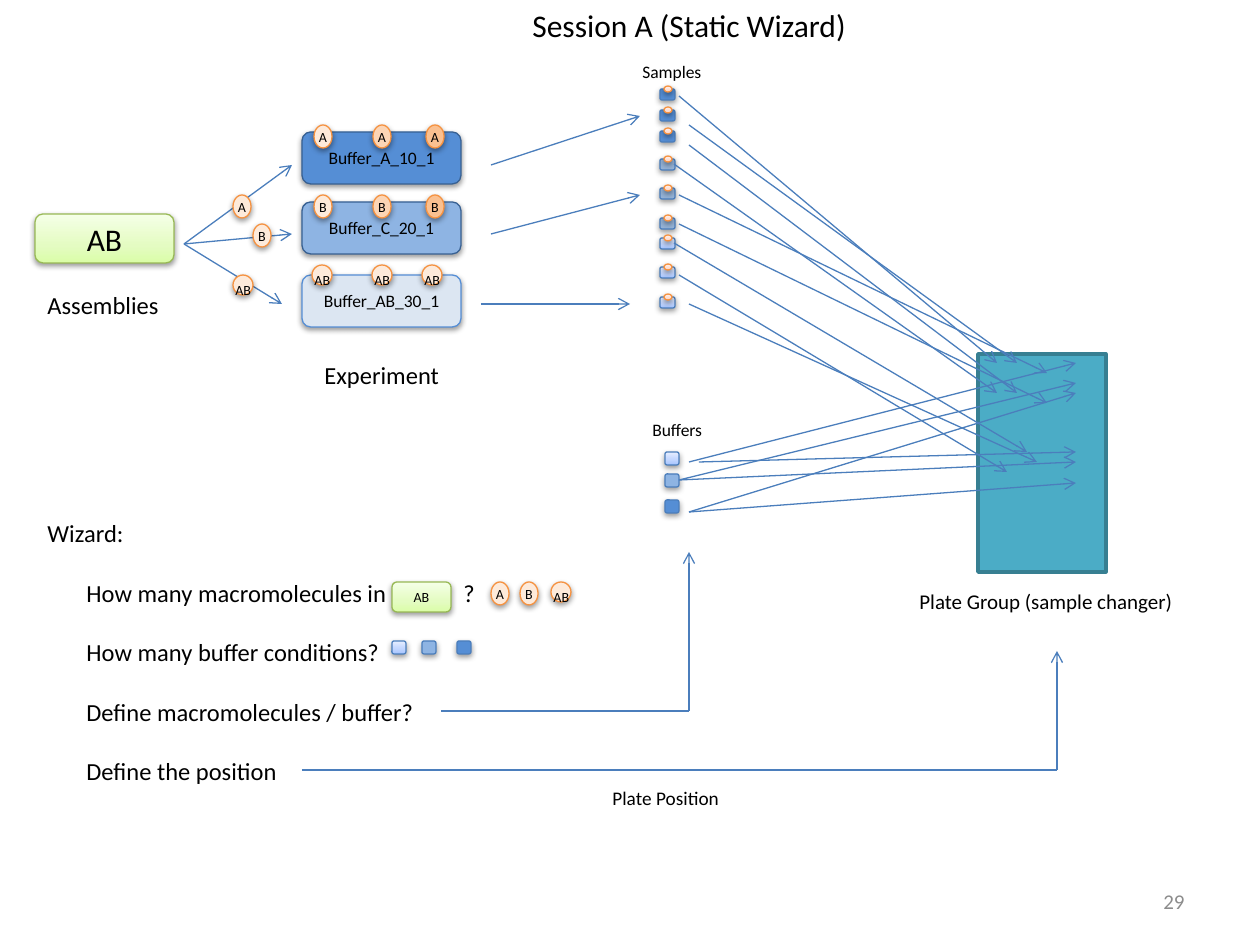
"""Build the Session A (Static Wizard) workflow slide."""
from copy import deepcopy
from lxml import etree
from pptx import Presentation
from pptx import util as u
from pptx.dml.color import RGBColor
from pptx.enum import shapes, text
from pptx.oxml import ns

SCALE = 914400 / 126
BLACK = RGBColor(0x00, 0x00, 0x00)
GREY = RGBColor(0x8C, 0x8C, 0x8C)
TEAL = RGBColor(0x4B, 0xAC, 0xC6)
TEAL_EDGE = RGBColor(0x37, 0x7F, 0x92)
BLUE = RGBColor(0x55, 0x8E, 0xD5)
SKY = RGBColor(0x8E, 0xB4, 0xE3)
STEEL = RGBColor(0x95, 0xB3, 0xD7)
PALE = RGBColor(0xDC, 0xE6, 0xF2)
NAVY = RGBColor(0x37, 0x60, 0x92)
LINE = RGBColor(0x4B, 0x7E, 0xBC)
LEAF = RGBColor(0x98, 0xB9, 0x55)
RUST = RGBColor(0xF6, 0x92, 0x40)
CREAM = RGBColor(0xFD, 0xEA, 0xDA)
PEACH = RGBColor(0xFC, 0xD5, 0xB5)
AMBER = RGBColor(0xFA, 0xC0, 0x90)
LIME = [RGBColor(0xDA, 0xFD, 0xA7), RGBColor(0xE4, 0xFC, 0xC2), RGBColor(0xF5, 0xFF, 0xE7)]
ICE = [RGBColor(0xA4, 0xC4, 0xFF), RGBColor(0xBF, 0xD4, 0xFF), RGBColor(0xE6, 0xEE, 0xFF)]
ROSE = [RGBColor(0xFF, 0xD2, 0xBD), RGBColor(0xFF, 0xDE, 0xD0), RGBColor(0xFF, 0xF2, 0xED)]
RECT, ROUND, OVAL = (shapes.MSO_SHAPE.RECTANGLE, shapes.MSO_SHAPE.ROUNDED_RECTANGLE,
                     shapes.MSO_SHAPE.OVAL)
MID = text.MSO_ANCHOR.MIDDLE

deck = Presentation()
deck.slide_width, deck.slide_height = (round(n * SCALE) for n in (1260, 945))
slide = deck.slides.add_slide(deck.slide_layouts[6])


def draw(kind, box, words="", size=8, fill=None, edge=LINE, width=0.75, shade=True,
         color=BLACK, align=text.PP_ALIGN.LEFT):
    place = [round(n * SCALE) for n in box]
    if kind is None:
        item = slide.shapes.add_textbox(*place)
        form = {"word_wrap": False}
    else:
        item = slide.shapes.add_shape(kind, *place)
        align = text.PP_ALIGN.CENTER
        form = {"word_wrap": False, "vertical_anchor": MID, "margin_left": 0,
                "margin_right": 0, "margin_top": 0, "margin_bottom": 0}
        if isinstance(fill, list):
            item.fill.gradient()
            stops = item._element.spPr.find(".//" + ns.qn("a:gsLst"))
            stops.insert(1, deepcopy(stops[0]))
            item.fill.gradient_angle = 90
            for stop, spot, tint in zip(item.fill.gradient_stops, (0, 0.35, 1), fill):
                stop.color.rgb, stop.position = tint, spot
        else:
            item.fill.solid()
            item.fill.fore_color.rgb = fill
        item.line.color.rgb, item.line.width = edge, u.Pt(width)
        item.shadow.inherit = False
        if shade:
            glow = etree.SubElement(
                item._element.spPr.find(ns.qn("a:effectLst")), ns.qn("a:outerShdw"),
                blurRad="40000", dist="20000", dir="5400000", rotWithShape="0")
            tone = etree.SubElement(glow, ns.qn("a:srgbClr"), val="000000")
            etree.SubElement(tone, ns.qn("a:alpha"), val="38000")
    if words:
        frame = item.text_frame
        for key, value in form.items():
            setattr(frame, key, value)
        frame.text = words
        for para in frame.paragraphs:
            para.alignment = align
            for key, value in {"name": "Calibri", "size": u.Pt(size)}.items():
                setattr(para.runs[0].font, key, value)
            para.runs[0].font.color.rgb = color
    return item


def link(start, end, head=True):
    wire = slide.shapes.add_connector(shapes.MSO_CONNECTOR.STRAIGHT,
                                      *[round(n * SCALE) for n in start + end])
    wire.line.color.rgb, wire.line.width = LINE, u.Pt(0.75)
    if head:
        etree.SubElement(wire.line._get_or_add_ln(), ns.qn("a:tailEnd"), type="arrow")
    etree.SubElement(wire._element.spPr, ns.qn("a:effectLst"))


draw(RECT, (978, 354, 128, 218), fill=TEAL, edge=TEAL_EDGE, width=2, shade=False)
draw(ROUND, (35, 214, 139, 49), "AB", 18, LIME, LEAF)

for words, top, fill, edge in (("Buffer_A_10_1", 132, BLUE, NAVY),
                               ("Buffer_C_20_1", 202, SKY, NAVY),
                               ("Buffer_AB_30_1", 275, PALE, BLUE)):
    draw(ROUND, (302, top, 159, 52), words, 10, fill, edge)

for top, fill in zip((89, 110, 131, 159, 188, 218, 238, 267, 297),
                     [BLUE] * 3 + [STEEL] * 3 + [ICE] * 3):
    draw(ROUND, (660, top, 15, 11), fill=fill)
    draw(OVAL, (664, top - 3, 8, 6), fill=ROSE, edge=RUST)

for left, top, fill in ((665, 452, ICE), (665, 474, SKY), (665, 500, BLUE),
                        (392, 641, ICE), (422, 641, SKY), (457, 641, BLUE)):
    draw(ROUND, (left, top, 14, 13), fill=fill)

for start, *ends in (
        ((491, 165), (640, 116)), ((491, 234), (640, 195)), ((481, 304), (630, 304)),
        ((679, 96), (997, 363)), ((689, 125), (1017, 363)), ((689, 145), (1017, 393)),
        ((674, 164), (997, 393)), ((679, 195), (1047, 373)), ((679, 224), (1047, 403)),
        ((674, 243), (1027, 452)), ((679, 275), (1007, 472)), ((689, 304), (1037, 462)),
        ((689, 462), (1076, 363)), ((679, 480), (1076, 383), (1076, 462)),
        ((689, 512), (1076, 393), (1076, 483)), ((699, 462), (1076, 452)),
        ((184, 244), (292, 165), (292, 234), (282, 304))):
    for end in ends:
        link(start, end)

for start, bend, end in (((441, 711), (689, 711), (689, 552)),
                         ((302, 770), (1057, 770), (1057, 651))):
    link(start, bend, False)
    link(bend, end)

for words, left, top, fill in (
        ("A", 314, 125, CREAM), ("A", 373, 125, PEACH), ("A", 426, 125, AMBER),
        ("B", 314, 195, CREAM), ("B", 373, 195, PEACH), ("B", 426, 195, AMBER),
        ("A", 233, 195, CREAM), ("B", 253, 224, CREAM),
        ("A", 491, 582, CREAM), ("B", 520, 582, CREAM)):
    draw(OVAL, (left, top, 18, 23), words, fill=fill, edge=RUST)

for left, top in ((312, 265), (372, 265), (422, 265), (233, 275), (551, 582)):
    draw(OVAL, (left, top, 20, 20), fill=CREAM, edge=RUST)
    draw(None, (left - 10, top, 42, 30), "AB")

for words, size, box in (
        ("Session A (Static Wizard)", 18, (520, 0, 343, 50)),
        ("Experiment", 14, (312, 354, 141, 43)),
        ("Samples", 10, (630, 55, 86, 34)),
        ("Buffers", 10, (640, 413, 77, 34)),
        ("Plate Group (sample changer)", 12, (907, 582, 281, 38)),
        ("Assemblies", 14, (35, 284, 137, 43)),
        ("Wizard:", 14, (35, 512, 102, 43)),
        ("Plate Position", 11, (600, 780, 132, 36))):
    draw(None, box, words, size)

steps = draw(None, (74, 572, 422, 221), "\n".join((
    "How many macromolecules in\t?", "How many buffer conditions?",
    "Define macromolecules / buffer?", "Define the position")), 14)
steps.text_frame.word_wrap = True
first, *rest = steps.text_frame.paragraphs
tabs = etree.SubElement(first._p.get_or_add_pPr(), ns.qn("a:tabLst"))
etree.SubElement(tabs, ns.qn("a:tab"), pos=str(round(377 * SCALE)), algn="l")
for para in rest:
    para.space_before = u.Pt(17)

draw(ROUND, (392, 582, 59, 30), "AB", fill=LIME, edge=LEAF)
page = draw(None, (903, 876, 294, 50), "29", 12, color=GREY, align=text.PP_ALIGN.RIGHT)
for key, value in {"word_wrap": True, "vertical_anchor": MID}.items():
    setattr(page.text_frame, key, value)

deck.save("out.pptx")
